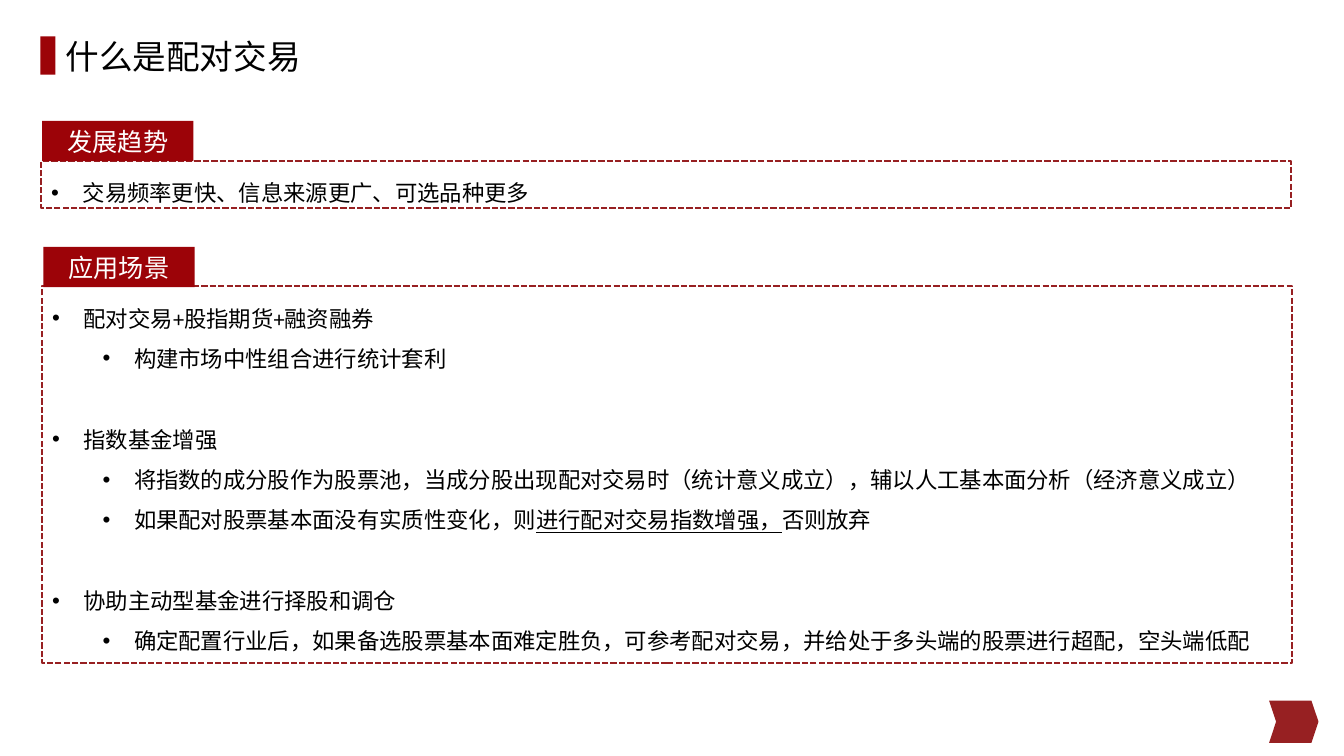
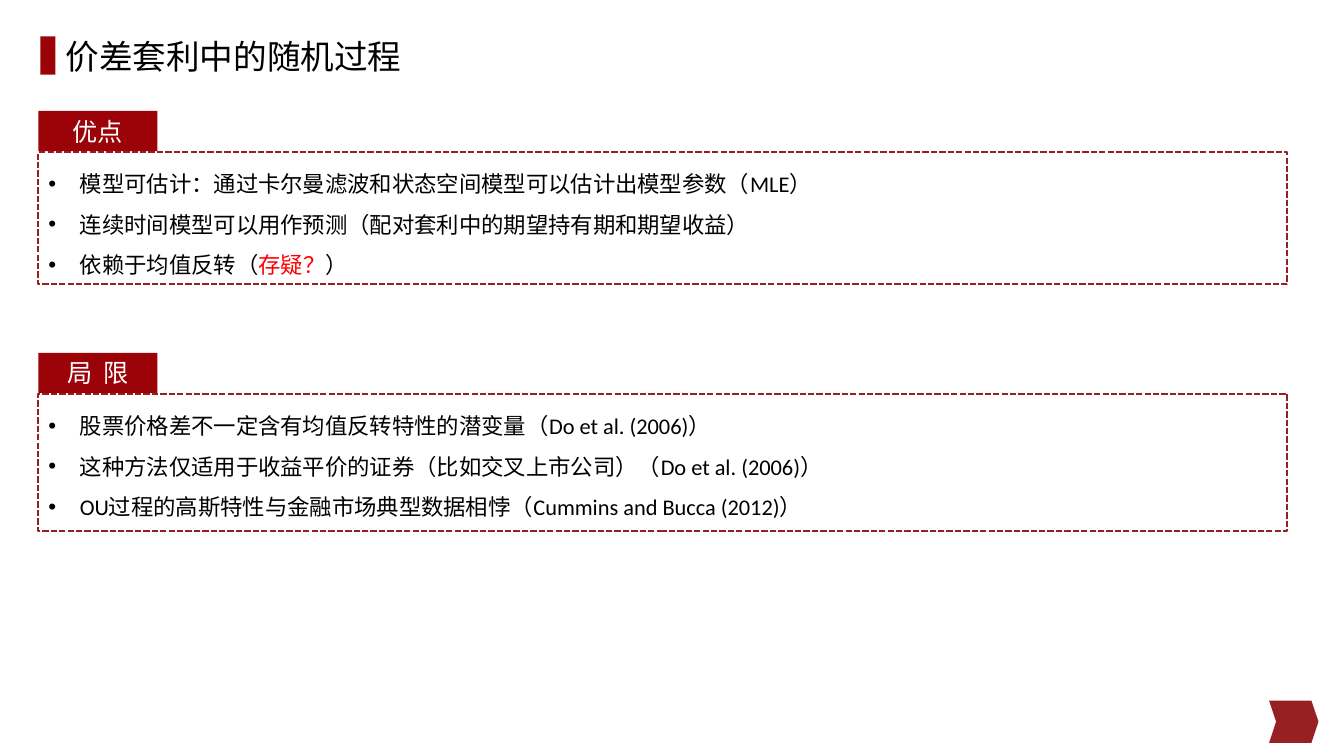
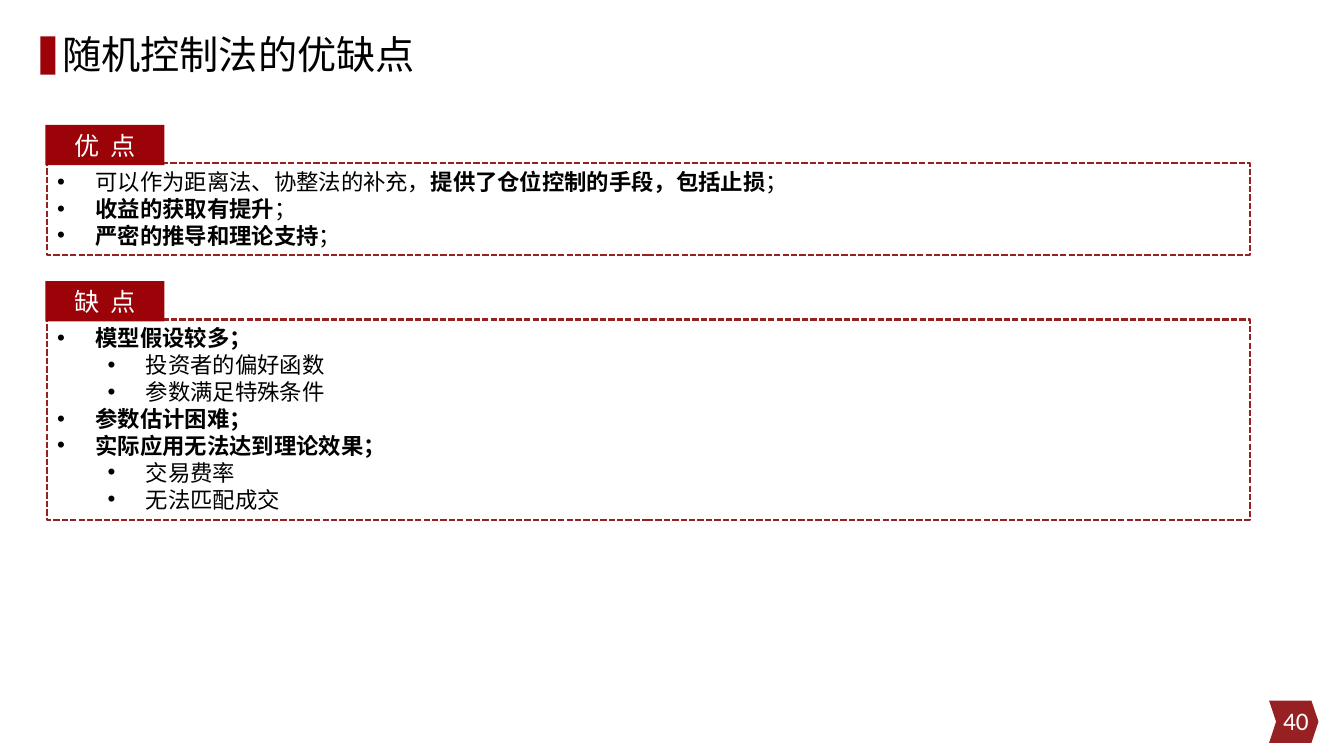
from dataclasses import dataclass
from typing import Optional

from lxml import etree
from pptx import Presentation
from pptx import util as u
from pptx.dml.color import RGBColor
from pptx.enum import dml, shapes, text
from pptx.oxml.ns import qn

# Shared look
LATIN, CJK = "Calibri", "Noto Sans CJK SC"
RED, DARK_RED, BLACK, WHITE, ALERT = "9C0308", "972022", "000000", "FFFFFF", "FF0000"
LABEL_HEIGHT = 28.8
LEVEL_STEP = 36


@dataclass
class Run:
    text: str
    bold: bool = False
    underline: bool = False
    color: Optional[str] = None


@dataclass
class Item:
    runs: list[Run]
    level: int = 0
    before: float = 0


@dataclass
class Section:
    label: str
    label_at: tuple[float, float, float]  # left, top, width
    box: tuple[float, float, float, float]  # left, top, width, height
    items: list[Item]
    tracking: float = 0


@dataclass
class Page:
    title: str
    sections: list[Section]
    title_at: tuple[float, float] = (39.6, 0)
    title_size: float = 24
    hang: float = 22.5
    spacing: float = 1.5
    number: str = ""


def item(words: str, level: int = 0, before: float = 0, bold: bool = False) -> Item:
    return Item([Run(words, bold)], level, before)


PAGES = [
    Page("什么是配对交易", [
        Section("发展趋势", (30.2, 86.4, 108), (29.5, 115.2, 892.8, 33.1), [
            item("交易频率更快、信息来源更广、可选品种更多"),
        ]),
        Section("应用场景", (31, 176.4, 108), (30.2, 204.5, 892.8, 269.3), [
            item("配对交易+股指期货+融资融券"),
            item("构建市场中性组合进行统计套利", 1),
            item("指数基金增强", before=29),
            item("将指数的成分股作为股票池，当成分股出现配对交易时（统计意义成立），"
                 "辅以人工基本面分析（经济意义成立）", 1),
            Item([Run("如果配对股票基本面没有实质性变化，则"),
                  Run("进行配对交易指数增强，", underline=True),
                  Run("否则放弃")], 1),
            item("协助主动型基金进行择股和调仓", before=29),
            item("确定配置行业后，如果备选股票基本面难定胜负，可参考配对交易，"
                 "并给处于多头端的股票进行超配，空头端低配", 1),
        ]),
    ]),
    Page("价差套利中的随机过程", [
        Section("优点", (27.4, 79.2, 85), (27.4, 108.7, 892.1, 94.3), [
            item("模型可估计：通过卡尔曼滤波和状态空间模型可以估计出模型参数（MLE）"),
            item("连续时间模型可以用作预测（配对套利中的期望持有期和期望收益）"),
            Item([Run("依赖于均值反转（"), Run("存疑？", color=ALERT), Run("）")]),
        ]),
        Section("局 限", (27.4, 252, 85), (27.4, 281.5, 892.1, 97.9), [
            item("股票价格差不一定含有均值反转特性的潜变量（Do et al. (2006)）"),
            item("这种方法仅适用于收益平价的证券（比如交叉上市公司）（Do et al. (2006)）"),
            item("OU过程的高斯特性与金融市场典型数据相悖（Cummins and Bucca (2012)）"),
        ], tracking=2),
    ]),
    Page("随机控制法的优缺点", [
        Section("优 点", (32.4, 89.3, 85), (33.8, 116.6, 859, 65.5), [
            Item([Run("可以作为距离法、协整法的补充，"),
                  Run("提供了仓位控制的手段，包括止损", bold=True), Run("；")]),
            Item([Run("收益的获取有提升", bold=True), Run("；")]),
            Item([Run("严密的推导和理论支持", bold=True), Run("；")]),
        ], tracking=2),
        Section("缺 点", (32.4, 200.9, 85), (33.8, 228.2, 859, 143.3), [
            item("模型假设较多；", bold=True),
            item("投资者的偏好函数", 1),
            item("参数满足特殊条件", 1),
            item("参数估计困难；", bold=True),
            item("实际应用无法达到理论效果；", bold=True),
            item("交易费率", 1),
            item("无法匹配成交", 1),
        ], tracking=2),
    ], title_at=(37.4, -1.4), title_size=28, hang=27.4, spacing=1, number="40"),
]


def rgb(color: str) -> RGBColor:
    return RGBColor.from_string(color)


def set_font(p, size: float, color: str, latin: str = LATIN, tracking: float = 0) -> None:
    p.font.size, p.font.name = u.Pt(size), latin
    p.font.color.rgb = rgb(color)
    props = p._p.pPr.find(qn("a:defRPr"))
    etree.SubElement(props, qn("a:ea"), typeface=CJK)
    if tracking:
        props.set("spc", str(int(tracking * 100)))


def add_block(s, kind, left: float, top: float, width: float, height: float,
              fill: Optional[str] = None):
    sp = s.shapes.add_shape(kind, *map(u.Pt, (left, top, width, height)))
    sp.shadow.inherit = False
    if fill:
        sp.fill.solid()
        sp.fill.fore_color.rgb = rgb(fill)
    else:
        sp.fill.background()
    sp.line.fill.background()
    sp.text_frame.word_wrap = True
    sp.text_frame.vertical_anchor = text.MSO_ANCHOR.TOP
    return sp


def add_decor(s, layout) -> None:
    """Draw the title bar and page marker, then move them to the layout."""
    bar = add_block(s, shapes.MSO_SHAPE.RECTANGLE, 28.8, 25.9, 10.8, 27.4, RED)
    marker = add_block(s, shapes.MSO_SHAPE.CHEVRON, 906.5, 500.4, 35.3, 30.2, DARK_RED)
    marker.adjustments[0] = 0.167
    for sp in (bar, marker):
        layout.shapes.element.append(sp.element)


def add_title(s, page: Page) -> None:
    sp = s.shapes.title
    left, top = page.title_at
    sp.left, sp.top, sp.width, sp.height = map(u.Pt, (left, top, 814.3, 84.2))
    tf = sp.text_frame
    tf.text, tf.vertical_anchor = page.title, text.MSO_ANCHOR.MIDDLE
    p = tf.paragraphs[0]
    p.alignment, p.line_spacing = text.PP_ALIGN.LEFT, 0.9
    set_font(p, page.title_size, BLACK, CJK)


def fill_item(p, entry: Item, page: Page) -> None:
    # Bullet and hanging indent
    p.level = entry.level
    props = p._p.get_or_add_pPr()
    props.set("marL", str(u.Pt(page.hang + LEVEL_STEP * entry.level)))
    props.set("indent", str(-u.Pt(page.hang)))
    etree.SubElement(props, qn("a:buFont"), typeface="Arial")
    etree.SubElement(props, qn("a:buChar"), char="•")
    # Paragraph format and runs
    p.alignment, p.line_spacing = text.PP_ALIGN.LEFT, page.spacing
    p.space_before = u.Pt(entry.before)
    set_font(p, 16, BLACK)
    for part in entry.runs:
        r = p.add_run()
        r.text = part.text
        if part.bold:
            r.font.bold = True
        if part.underline:
            r.font.underline = True
        if part.color:
            r.font.color.rgb = rgb(part.color)


def add_section(s, section: Section, page: Page) -> None:
    # Dashed box with the list
    box = add_block(s, shapes.MSO_SHAPE.RECTANGLE, *section.box)
    box.line.color.rgb = rgb(DARK_RED)
    box.line.width = u.Pt(1.5)
    box.line.dash_style = dml.MSO_LINE.SQUARE_DOT
    tf = box.text_frame
    for i, entry in enumerate(section.items):
        fill_item(tf.add_paragraph() if i else tf.paragraphs[0], entry, page)
    # Red label on the box
    label = add_block(s, shapes.MSO_SHAPE.RECTANGLE, *section.label_at, LABEL_HEIGHT, RED)
    p = label.text_frame.paragraphs[0]
    p.text, p.alignment = section.label, text.PP_ALIGN.CENTER
    set_font(p, 18, WHITE, tracking=section.tracking)


def add_number(s, number: str) -> None:
    tf = s.shapes.add_textbox(*map(u.Pt, (725.8, 500.4, 216, 28.8))).text_frame
    tf.word_wrap, tf.vertical_anchor = True, text.MSO_ANCHOR.MIDDLE
    p = tf.paragraphs[0]
    p.text, p.alignment = number, text.PP_ALIGN.RIGHT
    set_font(p, 18, WHITE)


def main() -> None:
    prs = Presentation()
    prs.slide_width, prs.slide_height = u.Pt(960), u.Pt(540)
    layout = prs.slide_layouts[5]
    for i, page in enumerate(PAGES):
        s = prs.slides.add_slide(layout)
        if i == 0:
            add_decor(s, layout)
        add_title(s, page)
        for section in page.sections:
            add_section(s, section, page)
        if page.number:
            add_number(s, page.number)
    prs.save("out.pptx")


if __name__ == "__main__":
    main()
